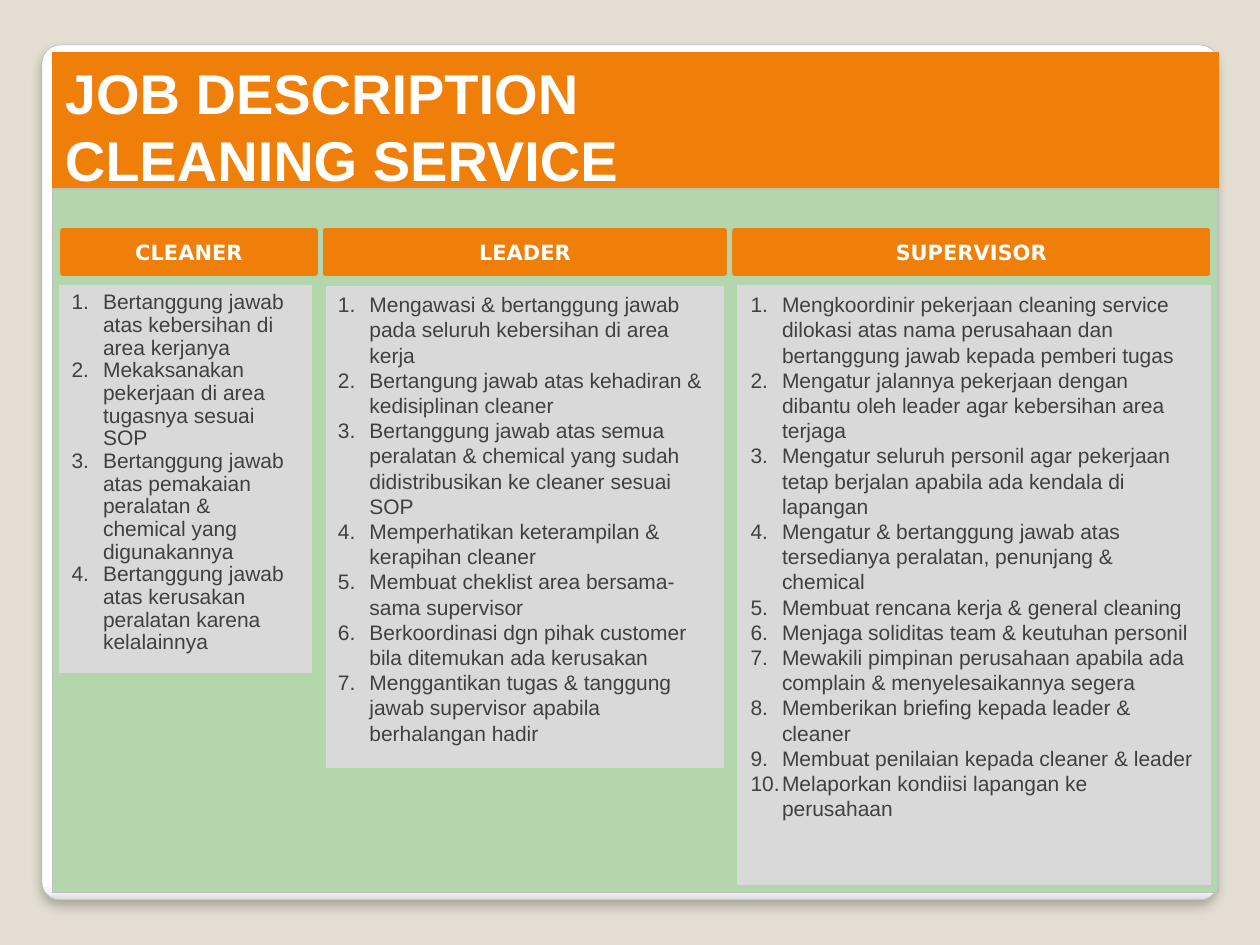
import lxml.etree
import pptx
import pptx.dml.color
import pptx.enum.shapes
import pptx.enum.text
import pptx.oxml
import pptx.oxml.ns
import pptx.util

RGBColor = pptx.dml.color.RGBColor
BEIGE = RGBColor(0xE3, 0xDE, 0xD1)
ORANGE = RGBColor(0xF0, 0x7F, 0x09)
GREEN = RGBColor(0xB3, 0xD6, 0xAC)
SILVER = RGBColor(0xBF, 0xBF, 0xBF)
PALE = RGBColor(0xD9, 0xD9, 0xD9)
EDGE = RGBColor(0xA4, 0xA4, 0xA4)
DARK = RGBColor(0x40, 0x40, 0x40)
WHITE = RGBColor(0xFF, 0xFF, 0xFF)

WIDTH, HEIGHT = pptx.util.Inches(10), pptx.util.Inches(7.5)
COLUMNS, ROWS = 120, 90
HEADER_TOP, HEADER_HEIGHT, LIST_TOP = 22, 4, 27.2
INDENT = pptx.util.Inches(0.25)

TITLE_FONT = {"name": "Arial", "size": pptx.util.Pt(32), "bold": True}
HEADER_FONT = {"name": "DejaVu Sans", "size": pptx.util.Pt(12), "bold": True}
LIST_FONT = {"name": "Arial", "size": pptx.util.Pt(12), "bold": False}

PANEL_STOPS = ((0, "FFFFFF"), (98, "FFFFFF"), (99, "F7F7F7"), (100, "DADADA"))

ROLES = [
    {
        "name": "CLEANER", "header": (6, 24), "list": (5.64, 24, 36.84),
        "edge": PALE, "spacing": 0.9,
        "duties": [
            "Bertanggung jawab atas kebersihan di area kerjanya",
            "Mekaksanakan pekerjaan di area tugasnya sesuai SOP",
            "Bertanggung jawab atas pemakaian peralatan & chemical yang digunakannya",
            "Bertanggung jawab atas kerusakan peralatan karena kelalainnya",
        ],
    },
    {
        "name": "LEADER", "header": (31, 38), "list": (31, 38, 46),
        "edge": GREEN, "spacing": 1.0,
        "duties": [
            "Mengawasi & bertanggung jawab pada seluruh kebersihan di area kerja",
            "Bertangung jawab atas kehadiran & kedisiplinan cleaner",
            "Bertanggung jawab atas semua peralatan & chemical yang sudah "
            "didistribusikan ke cleaner sesuai SOP",
            "Memperhatikan keterampilan & kerapihan cleaner",
            "Membuat cheklist area bersama-sama supervisor",
            "Berkoordinasi dgn pihak customer bila ditemukan ada kerusakan",
            "Menggantikan tugas & tanggung jawab supervisor apabila berhalangan hadir",
        ],
    },
    {
        "name": "SUPERVISOR", "header": (70, 45), "list": (70.3, 45, 57),
        "edge": PALE, "spacing": 1.0,
        "duties": [
            "Mengkoordinir pekerjaan cleaning service dilokasi atas nama perusahaan "
            "dan bertanggung jawab kepada pemberi tugas",
            "Mengatur jalannya pekerjaan dengan dibantu oleh leader agar kebersihan "
            "area terjaga",
            "Mengatur seluruh personil agar pekerjaan tetap berjalan apabila ada "
            "kendala di lapangan",
            "Mengatur & bertanggung jawab atas tersedianya peralatan, penunjang & chemical",
            "Membuat rencana kerja & general cleaning",
            "Menjaga soliditas team & keutuhan personil",
            "Mewakili pimpinan perusahaan apabila ada complain & menyelesaikannya segera",
            "Memberikan briefing kepada leader & cleaner",
            "Membuat penilaian kepada cleaner & leader",
            "Melaporkan kondiisi lapangan ke perusahaan",
        ],
    },
]


def add_box(slide, box, fill, edge, line_width=0.75, kind="RECTANGLE"):
    """Add a filled shape at a box given in grid columns and rows."""
    left, top, width, height = box
    shape = slide.shapes.add_shape(
        getattr(pptx.enum.shapes.MSO_SHAPE, kind),
        int(WIDTH * left / COLUMNS), int(HEIGHT * top / ROWS),
        int(WIDTH * width / COLUMNS), int(HEIGHT * height / ROWS))
    shape.shadow.inherit = False
    shape.fill.solid()
    shape.fill.fore_color.rgb = fill
    shape.line.color.rgb = edge
    shape.line.width = pptx.util.Pt(line_width)
    shape.text_frame.word_wrap = True
    return shape


def write_text(paragraph, text, font_format, color, alignment="LEFT"):
    """Write one paragraph with its font and alignment."""
    paragraph.text = text
    paragraph.alignment = getattr(pptx.enum.text.PP_ALIGN, alignment)
    for run in paragraph.runs:
        for name, value in font_format.items():
            setattr(run.font, name, value)
        run.font.color.rgb = color


def number_paragraph(paragraph):
    """Give a paragraph a hanging automatic number."""
    properties = paragraph._p.get_or_add_pPr()
    properties.set("marL", str(int(INDENT)))
    properties.set("indent", str(-int(INDENT)))
    lxml.etree.SubElement(
        properties, pptx.oxml.ns.qn("a:buFont"), typeface="+mj-lt")
    lxml.etree.SubElement(
        properties, pptx.oxml.ns.qn("a:buAutoNum"), type="arabicPeriod")


def add_panel(slide, box):
    """Add the rounded white panel with its graded foot and soft shadow."""
    panel = add_box(slide, box, WHITE, EDGE, 0.16, "ROUNDED_RECTANGLE")
    panel.adjustments[0] = 0.021
    namespace = pptx.oxml.ns.nsdecls("a")
    stops = "".join(
        f'<a:gs pos="{position * 1000}"><a:srgbClr val="{color}"/></a:gs>'
        for position, color in PANEL_STOPS)
    gradient = pptx.oxml.parse_xml(
        f'<a:gradFill {namespace}><a:gsLst>{stops}</a:gsLst>'
        '<a:lin ang="5400000" scaled="0"/></a:gradFill>')
    shadow = pptx.oxml.parse_xml(
        f'<a:outerShdw {namespace} blurRad="76200" dist="50800" dir="5400000" '
        'rotWithShape="0"><a:srgbClr val="000000"><a:alpha val="25000"/>'
        '</a:srgbClr></a:outerShdw>')
    properties = panel._element.spPr
    properties.replace(properties.find(pptx.oxml.ns.qn("a:solidFill")), gradient)
    properties.find(pptx.oxml.ns.qn("a:effectLst")).append(shadow)


def add_title(slide, box):
    """Add the orange title band."""
    frame = add_box(slide, box, ORANGE, ORANGE).text_frame
    frame.vertical_anchor = pptx.enum.text.MSO_ANCHOR.TOP
    write_text(frame.paragraphs[0], "JOB DESCRIPTION \vCLEANING SERVICE",
               TITLE_FONT, WHITE)


def add_header(slide, box, name):
    """Add the heading of a role."""
    frame = add_box(slide, box, ORANGE, ORANGE, 3.35).text_frame
    frame.vertical_anchor = pptx.enum.text.MSO_ANCHOR.MIDDLE
    write_text(frame.paragraphs[0], name, HEADER_FONT, WHITE, "CENTER")


def add_duties(slide, box, role):
    """Add the numbered duties of a role."""
    frame = add_box(slide, box, PALE, role["edge"]).text_frame
    frame.vertical_anchor = pptx.enum.text.MSO_ANCHOR.TOP
    for index, duty in enumerate(role["duties"]):
        paragraph = frame.add_paragraph() if index else frame.paragraphs[0]
        number_paragraph(paragraph)
        write_text(paragraph, duty, LIST_FONT, DARK)
        paragraph.line_spacing = role["spacing"]


def main():
    """Build and save the slide."""
    presentation = pptx.Presentation()
    presentation.slide_width, presentation.slide_height = WIDTH, HEIGHT
    slide = presentation.slides.add_slide(presentation.slide_layouts[6])
    slide.background.fill.solid()
    slide.background.fill.fore_color.rgb = BEIGE
    add_panel(slide, (4, 4.3, 112, 81.4))
    add_title(slide, (5, 5, 111, 14))
    add_box(slide, (5, 18, 111, 67), GREEN, SILVER)
    for role in ROLES:
        left, width, height = role["list"]
        add_duties(slide, (left, LIST_TOP, width, height), role)
        left, width = role["header"]
        add_header(slide, (left, HEADER_TOP, width, HEADER_HEIGHT), role["name"])
    presentation.save("out.pptx")


if __name__ == "__main__":
    main()
